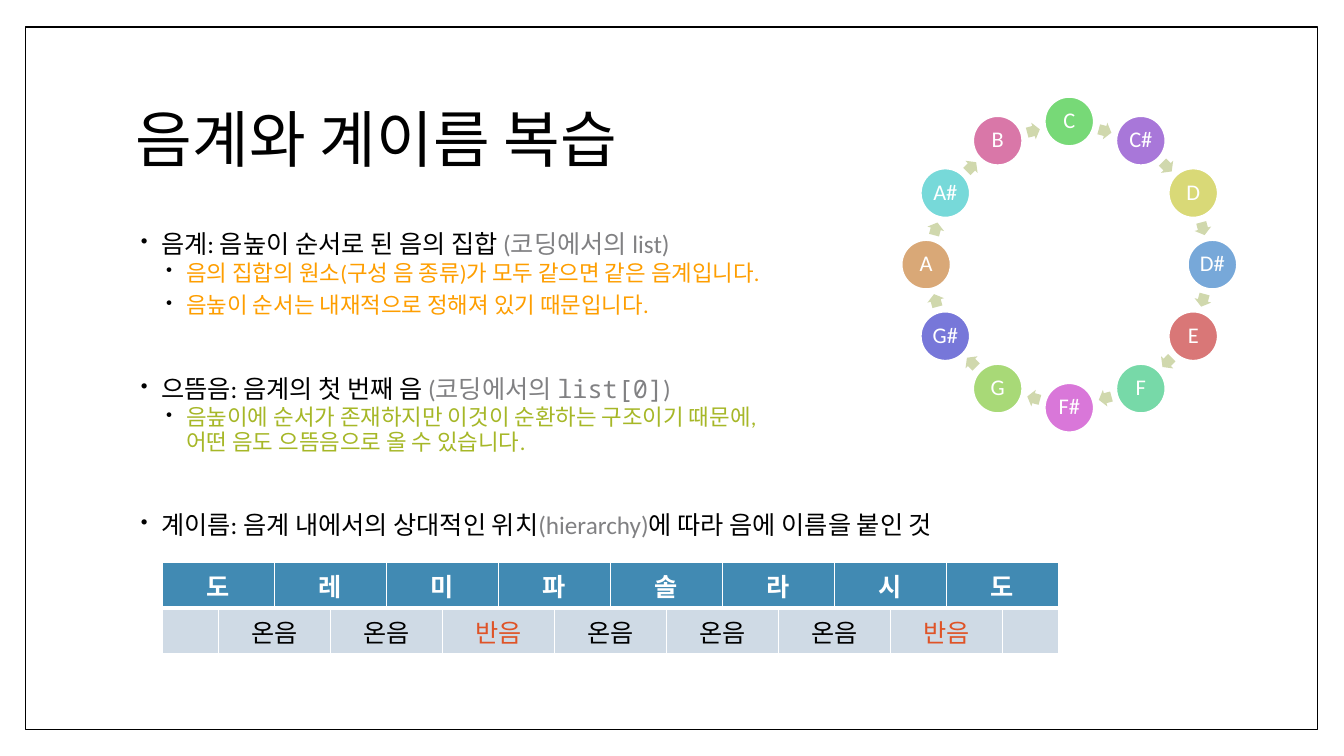
from math import cos, radians, sin

from lxml.etree import SubElement
from pptx import Presentation
from pptx.dml.color import RGBColor
from pptx.enum.shapes import MSO_SHAPE
from pptx.enum.text import MSO_ANCHOR, PP_ALIGN
from pptx.oxml import parse_xml
from pptx.oxml.ns import nsdecls, qn
from pptx.util import Inches, Pt

BLACK = RGBColor(0x00, 0x00, 0x00)
WHITE = RGBColor(0xFF, 0xFF, 0xFF)
GRAY = RGBColor(0x81, 0x81, 0x83)
ORANGE = RGBColor(0xFE, 0x9E, 0x00)
OLIVE = RGBColor(0xA6, 0xB7, 0x27)
RED = RGBColor(0xDF, 0x53, 0x27)
PALE_OLIVE = RGBColor(0xD0, 0xD8, 0xAD)
HEADER_BLUE = RGBColor(0x41, 0x8A, 0xB3)
PALE_BLUE = RGBColor(0xCF, 0xDA, 0xE5)

BODY_FONT = "Calibri"
CODE_FONT = "Noto Sans Mono"

CHROMATIC_NOTES = [
    ("C", RGBColor(0x77, 0xD9, 0x77)),
    ("C#", RGBColor(0xA8, 0x77, 0xD9)),
    ("D", RGBColor(0xD9, 0xD9, 0x77)),
    ("D#", RGBColor(0x77, 0xA8, 0xD9)),
    ("E", RGBColor(0xD9, 0x77, 0x77)),
    ("F", RGBColor(0x77, 0xD9, 0xA8)),
    ("F#", RGBColor(0xD9, 0x77, 0xD9)),
    ("G", RGBColor(0xA8, 0xD9, 0x77)),
    ("G#", RGBColor(0x77, 0x77, 0xD9)),
    ("A", RGBColor(0xD9, 0xA8, 0x77)),
    ("A#", RGBColor(0x77, 0xD9, 0xD9)),
    ("B", RGBColor(0xD9, 0x77, 0xA8)),
]
SOLFEGE = ["도", "레", "미", "파", "솔", "라", "시", "도"]
STEPS = ["온음", "온음", "반음", "온음", "온음", "온음", "반음"]

TERM = dict(size=18, indent=0.25)
DETAIL = dict(size=16, indent=0.5, before=2, after=4)
SECTION_GAP = 37.5
DEFINITIONS = [
    ([("음계: 음높이 순서로 된 음의 집합 ",), ("(코딩에서의 list)", GRAY)], TERM),
    ([("음의 집합의 원소(구성 음 종류)가 모두 같으면 같은 음계입니다.", ORANGE)], DETAIL),
    ([("음높이 순서는 내재적으로 정해져 있기 때문입니다.", ORANGE)], DETAIL),
    ([("으뜸음: 음계의 첫 번째 음 ",), ("(코딩에서의 ", GRAY),
      ("list[0]", GRAY, CODE_FONT), (")", GRAY)], dict(TERM, before=SECTION_GAP)),
    ([("음높이에 순서가 존재하지만 이것이 순환하는 구조이기 때문에,\n"
       "어떤 음도 으뜸음으로 올 수 있습니다.", OLIVE)], DETAIL),
    ([("계이름: 음계 내에서의 상대적인 위치",), ("(hierarchy)", GRAY),
      ("에 따라 음에 이름을 붙인 것",)], dict(TERM, before=SECTION_GAP)),
]


def add_bullet(paragraph, indent):
    properties = paragraph._p.get_or_add_pPr()
    properties.set("marL", str(Inches(indent)))
    properties.set("indent", str(Inches(-0.2)))
    bullet_color = SubElement(properties, qn("a:buClr"))
    SubElement(bullet_color, qn("a:srgbClr"), val=str(BLACK))
    SubElement(properties, qn("a:buSzPct"), val="80000")
    SubElement(properties, qn("a:buChar"), char="•")


def write(paragraph, runs, size=18, color=BLACK, bold=False, align=PP_ALIGN.LEFT,
          spacing=0.9, before=0, after=0, indent=None):
    if indent:
        add_bullet(paragraph, indent)
    paragraph.alignment = align
    paragraph.line_spacing = spacing
    paragraph.space_before = Pt(before)
    paragraph.space_after = Pt(after)
    for text, *style in runs:
        run_color = style[0] if style else color
        run_font = style[1] if len(style) > 1 else BODY_FONT
        for number, line in enumerate(text.split("\n")):
            if number:
                paragraph.add_line_break()
            run = paragraph.add_run()
            run.text = line
            run.font.size = Pt(size)
            run.font.name = run_font
            run.font.bold = bold
            run.font.color.rgb = run_color


class ScaleSlide:
    COLUMNS, ROWS = 160, 90

    def __init__(self, presentation):
        presentation.slide_width = Inches(13.33)
        presentation.slide_height = Inches(7.5)
        self.column = presentation.slide_width / self.COLUMNS
        self.row = presentation.slide_height / self.ROWS
        self.slide = presentation.slides.add_slide(presentation.slide_layouts[6])

    def place(self, left, top, width, height):
        return (round(left * self.column), round(top * self.row),
                round(width * self.column), round(height * self.row))

    def shape(self, preset, box, fill, line=None, weight=1):
        shape = self.slide.shapes.add_shape(preset, *self.place(*box))
        shape.shadow.inherit = False
        shape.fill.solid()
        shape.fill.fore_color.rgb = fill
        if line is None:
            shape.line.fill.background()
        else:
            shape.line.color.rgb = line
            shape.line.width = Pt(weight)
        return shape

    def text(self, box, paragraphs, anchor=MSO_ANCHOR.TOP):
        frame = self.slide.shapes.add_textbox(*self.place(*box)).text_frame
        frame.word_wrap = True
        frame.vertical_anchor = anchor
        for number, (runs, style) in enumerate(paragraphs):
            paragraph = frame.add_paragraph() if number else frame.paragraphs[0]
            write(paragraph, runs, **style)

    def note_ring(self, center_x, center_y, radius, disc, arrow_width, arrow_height):
        step = 360 / len(CHROMATIC_NOTES)
        arrow_radius = radius * cos(radians(step / 2))

        def around(angle, distance, width, height):
            return (center_x + distance * sin(radians(angle)) - width / 2,
                    center_y - distance * cos(radians(angle)) - height / 2,
                    width, height)

        for number, (name, color) in enumerate(CHROMATIC_NOTES):
            angle = number * step
            note = self.shape(MSO_SHAPE.OVAL, around(angle, radius, disc, disc),
                              color, WHITE, 1.5)
            frame = note.text_frame
            frame.margin_left = frame.margin_right = Inches(0.02)
            frame.margin_top = frame.margin_bottom = Inches(0.02)
            frame.vertical_anchor = MSO_ANCHOR.MIDDLE
            frame.word_wrap = False
            write(frame.paragraphs[0], [(name,)], size=16, color=WHITE,
                  align=PP_ALIGN.CENTER)

            angle += step / 2
            arrow = self.shape(MSO_SHAPE.RIGHT_ARROW,
                               around(angle, arrow_radius, arrow_width, arrow_height),
                               PALE_OLIVE)
            arrow.adjustments[0] = 0.6
            arrow.adjustments[1] = 0.5
            arrow.rotation = angle

    def cell(self, table, row, column, span, text, fill, bottom=1, **style):
        cell = table.cell(row, column)
        if span > 1:
            cell.merge(table.cell(row, column + span - 1))
        properties = cell._tc.get_or_add_tcPr()
        for side, weight in zip("LRTB", (1, 1, 1, bottom)):
            properties.append(parse_xml(
                f'<a:ln{side} {nsdecls("a")} w="{Pt(weight)}"><a:solidFill>'
                f'<a:srgbClr val="{WHITE}"/></a:solidFill></a:ln{side}>'))
        cell.fill.solid()
        cell.fill.fore_color.rgb = fill
        if text:
            write(cell.text_frame.paragraphs[0], [(text,)], spacing=1,
                  align=PP_ALIGN.CENTER, **style)

    def solfege_table(self, box):
        half_columns = 2 * len(SOLFEGE)
        table = self.slide.shapes.add_table(2, half_columns, *self.place(*box)).table
        for number, name in enumerate(SOLFEGE):
            self.cell(table, 0, 2 * number, 2, name, HEADER_BLUE, bottom=3,
                      color=WHITE, bold=True)
        for column in (0, half_columns - 1):
            self.cell(table, 1, column, 1, "", PALE_BLUE)
        for number, step in enumerate(STEPS):
            self.cell(table, 1, 2 * number + 1, 2, step, PALE_BLUE,
                      color=RED if step == "반음" else BLACK)


def main():
    presentation = Presentation()
    scale = ScaleSlide(presentation)
    scale.shape(MSO_SHAPE.RECTANGLE, (3, 3.24, 153.84, 83.64), WHITE, BLACK)
    scale.text((15, 8.04, 129.6, 17.76), [([("음계와 계이름 복습",)], dict(size=44))],
               MSO_ANCHOR.MIDDLE)
    scale.text((15, 27, 129.6, 53), DEFINITIONS)
    scale.note_ring(127.3, 31.5, 17.04, 5.88, 1.56, 2.04)
    scale.solfege_table((19.32, 66.96, 106.7, 10.9))
    presentation.save("out.pptx")


if __name__ == "__main__":
    main()
